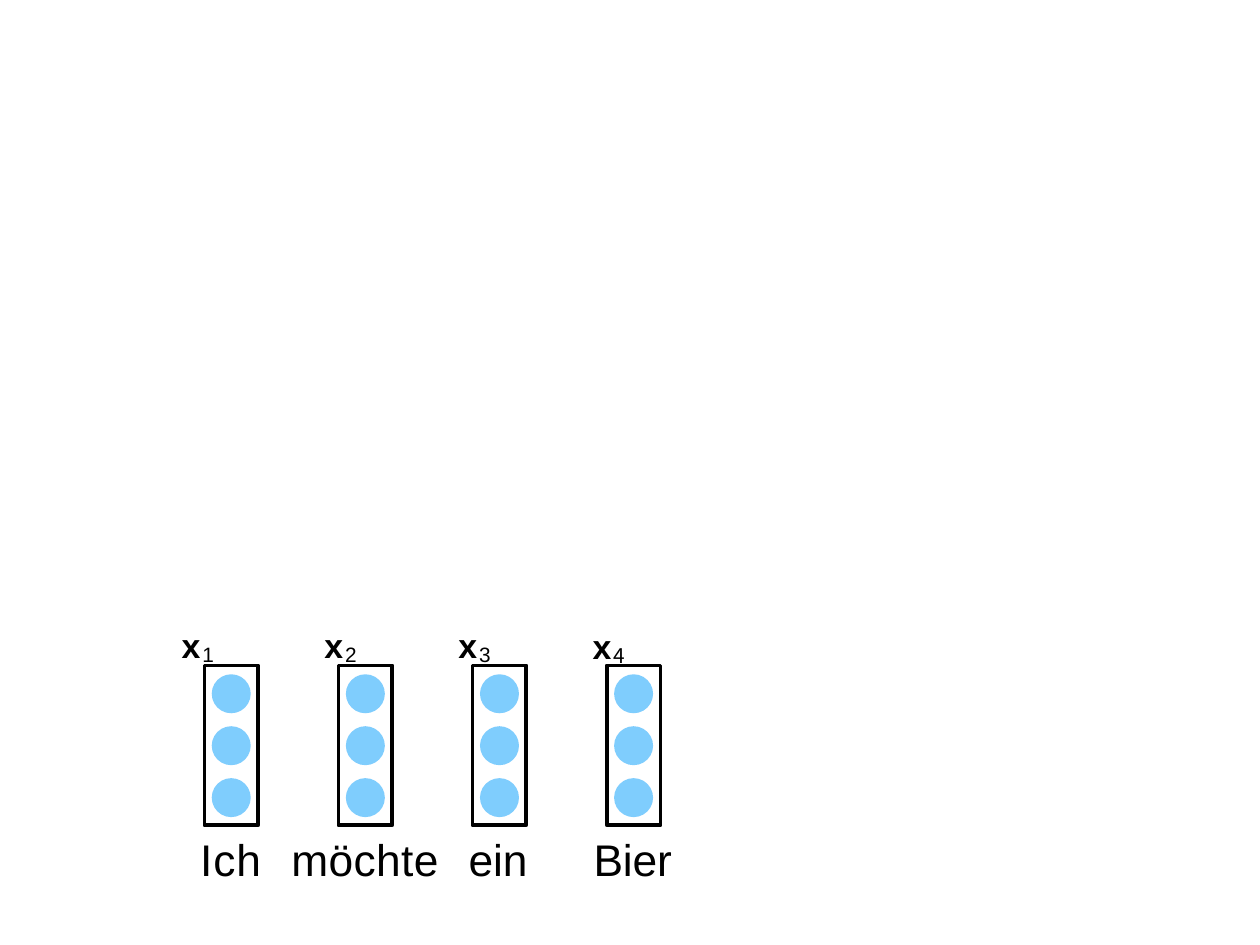
from dataclasses import dataclass

from lxml.etree import SubElement
from pptx import Presentation
from pptx.dml.color import RGBColor
from pptx.enum.shapes import MSO_SHAPE
from pptx.oxml.ns import qn
from pptx.shapes.autoshape import Shape
from pptx.slide import Slide
from pptx.text.text import _Paragraph, _Run
from pptx.util import Pt

BLACK = RGBColor(0x00, 0x00, 0x00)
BLUE = RGBColor(0x00, 0x9C, 0xFD)
FONT = "Arial"

FRAME_LEFT, FRAME_TOP = 166.1, 540.8
FRAME_WIDTH, FRAME_HEIGHT = 43.7, 129.9
FRAME_PITCH = 109
UNITS = 3
UNIT_TOP, UNIT_SIZE, UNIT_PITCH = 548, 31.7, 42.2
LABEL_WIDTH, LABEL_HEIGHT = 30, 35
WORD_TOP, WORD_HEIGHT = 683.3, 38


@dataclass(frozen=True)
class InputWord:
    text: str
    left: float
    width: float
    spacing: float
    label_offset: float = -11.5
    label_top: float = 506
    index_font: str = FONT


INPUT_WORDS = [
    InputWord("Ich", 162.7, 52, 0.7, label_offset=-18.5),
    InputWord("möchte", 236.9, 123, 0.3),
    InputWord("ein", 380.9, 51, -0.1),
    InputWord("Bier", 482.4, 67, -0.1, label_top=506.7, index_font="Noto Sans CJK TC"),
]


def add_outline_shape(slide: Slide, kind: MSO_SHAPE, left: float, top: float,
                      width: float, height: float) -> Shape:
    shape = slide.shapes.add_shape(kind, Pt(left), Pt(top), Pt(width), Pt(height))
    shape.shadow.inherit = False
    return shape


def add_vector(slide: Slide, left: float) -> None:
    """Draw one embedding: a frame around a column of units."""
    frame = add_outline_shape(slide, MSO_SHAPE.RECTANGLE, left, FRAME_TOP,
                              FRAME_WIDTH, FRAME_HEIGHT)
    frame.fill.background()
    frame.line.color.rgb = BLACK
    frame.line.width = Pt(3)
    unit_left = left + (FRAME_WIDTH - UNIT_SIZE) / 2
    for row in range(UNITS):
        unit = add_outline_shape(slide, MSO_SHAPE.OVAL, unit_left,
                                 UNIT_TOP + row * UNIT_PITCH, UNIT_SIZE, UNIT_SIZE)
        unit.fill.solid()
        unit.fill.fore_color.rgb = BLUE
        color = unit.fill._xPr.find(qn("a:solidFill"))[0]
        SubElement(color, qn("a:alpha"), val="50000")
        unit.line.fill.background()


def add_text_line(slide: Slide, left: float, top: float,
                  width: float, height: float) -> _Paragraph:
    box = slide.shapes.add_textbox(Pt(left), Pt(top), Pt(width), Pt(height))
    frame = box.text_frame
    frame.word_wrap = True
    frame.margin_left = frame.margin_right = 0
    frame.margin_top = frame.margin_bottom = 0
    line = frame.paragraphs[0]
    line.font.color.rgb = BLACK
    return line


def add_spaced_run(line: _Paragraph, text: str, spacing: float) -> _Run:
    run = line.add_run()
    run.text = text
    run._r.get_or_add_rPr().set("spc", str(round(spacing * 100)))
    return run


def add_label(slide: Slide, word: InputWord, index: int, frame_left: float) -> None:
    line = add_text_line(slide, frame_left + word.label_offset, word.label_top,
                         LABEL_WIDTH, LABEL_HEIGHT)
    symbol = add_spaced_run(line, "x", 1.6)
    symbol.font.name = FONT
    symbol.font.size = Pt(27.5)
    symbol.font.bold = True
    subscript = add_spaced_run(line, str(index), 0.4)
    subscript.font.name = word.index_font
    subscript.font.size = Pt(29.2)
    subscript._r.get_or_add_rPr().set("baseline", "-11000")


def add_word(slide: Slide, word: InputWord) -> None:
    line = add_text_line(slide, word.left, WORD_TOP, word.width, WORD_HEIGHT)
    line.line_spacing = Pt(35.9)
    line.font.name = FONT
    line.font.size = Pt(36)
    add_spaced_run(line, word.text, word.spacing)


def main() -> None:
    presentation = Presentation()
    presentation.slide_width = Pt(1024)
    presentation.slide_height = Pt(768)
    slide = presentation.slides.add_slide(presentation.slide_layouts[6])
    for column, word in enumerate(INPUT_WORDS):
        frame_left = FRAME_LEFT + column * FRAME_PITCH
        add_vector(slide, frame_left)
        add_label(slide, word, column + 1, frame_left)
        add_word(slide, word)
    presentation.save("out.pptx")


if __name__ == "__main__":
    main()
